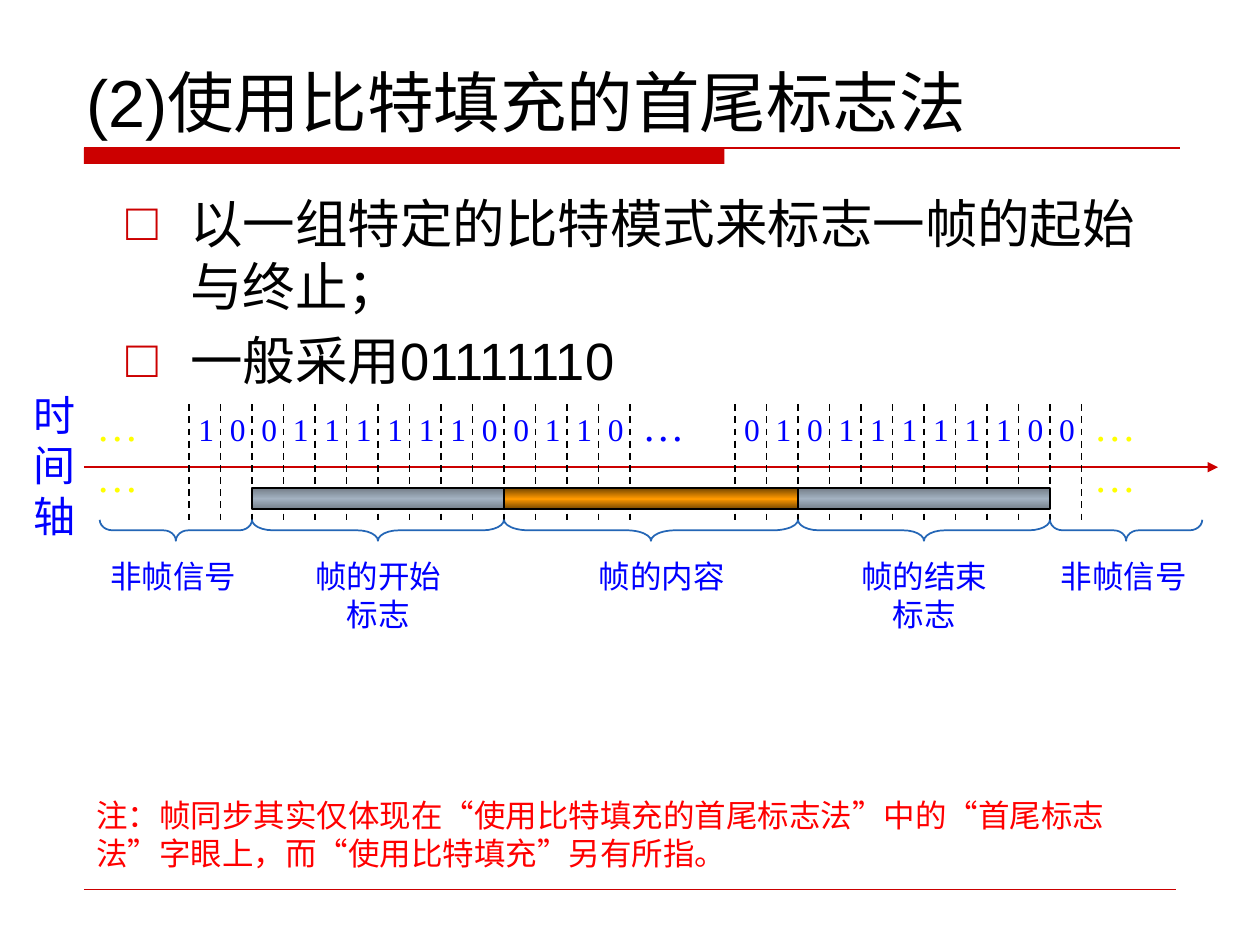
from copy import deepcopy
from dataclasses import dataclass

from lxml import etree
from pptx import Presentation
from pptx.dml.color import RGBColor
from pptx.enum.dml import MSO_LINE
from pptx.enum.shapes import MSO_CONNECTOR, MSO_SHAPE
from pptx.enum.text import MSO_ANCHOR, MSO_AUTO_SIZE, PP_ALIGN
from pptx.oxml.ns import qn
from pptx.util import Inches, Pt

LEFT, CENTER = PP_ALIGN.LEFT, PP_ALIGN.CENTER
TOP, BOTTOM = MSO_ANCHOR.TOP, MSO_ANCHOR.BOTTOM
STRAIGHT, DASH = MSO_CONNECTOR.STRAIGHT, MSO_LINE.DASH
RECTANGLE, LEFT_BRACE = MSO_SHAPE.RECTANGLE, MSO_SHAPE.LEFT_BRACE

BLACK = RGBColor(0x00, 0x00, 0x00)
CRIMSON = RGBColor(0xCC, 0x00, 0x00)
RED = RGBColor(0xFF, 0x00, 0x00)
BLUE = RGBColor(0x00, 0x00, 0xFF)
YELLOW = RGBColor(0xFF, 0xFF, 0x00)
BRACE_BLUE = RGBColor(0x24, 0x66, 0xB6)
FLAG_FILL = (RGBColor(0x75, 0x7F, 0x8A), RGBColor(0xA3, 0xB2, 0xC1))
CONTENT_FILL = (RGBColor(0x76, 0x47, 0x00), RGBColor(0xFF, 0x99, 0x00))

SANS, SERIF = "Arial", "Times New Roman"
GRID = Inches(1) / 12  # the slide is 120 columns by 90 rows
BIT_COLUMNS = 3


def emu(cells):
    return round(cells * GRID)


@dataclass
class Box:
    """A region measured in grid columns and rows."""
    left: float
    top: float
    width: float
    height: float

    def area(self, left, top, width, height):
        return Box(self.left + left, self.top + top, width, height)

    def emus(self):
        return [emu(n) for n in (self.left, self.top, self.width, self.height)]


def write_text(frame, text, *, size, color, font=SERIF, align=LEFT, anchor=TOP):
    """Fill a frame with one paragraph per line of text."""
    frame.word_wrap = True
    frame.auto_size = MSO_AUTO_SIZE.NONE
    frame.vertical_anchor = anchor
    frame.text = text
    for paragraph in frame.paragraphs:
        paragraph.alignment = align
        paragraph.space_before = Pt(0)
        run_font = paragraph.runs[0].font
        run_font.size, run_font.name = Pt(size), font
        run_font.color.rgb = color


def add_label(slide, box, text, **text_format):
    write_text(slide.shapes.add_textbox(*box.emus()).text_frame, text, **text_format)


def add_line(slide, box, color, weight, dash=None, arrow=False):
    """Draw a line from the top left to the bottom right of the box."""
    left, top, width, height = box.emus()
    line = slide.shapes.add_connector(STRAIGHT, left, top, left + width, top + height)
    line.line.color.rgb, line.line.width = color, Pt(weight)
    if dash:
        line.line.dash_style = dash
    properties = line._element.spPr
    if arrow:
        head = etree.SubElement(properties.find(qn("a:ln")), qn("a:tailEnd"))
        head.set("type", "triangle")
    etree.SubElement(properties, qn("a:effectLst"))


def add_outlined(slide, preset, box, color, weight=1):
    shape = slide.shapes.add_shape(preset, *box.emus())
    shape.shadow.inherit = False
    shape.line.color.rgb, shape.line.width = color, Pt(weight)
    return shape


def add_bar(slide, box, edge, middle):
    """Draw a rectangle shaded like a lying cylinder."""
    bar = add_outlined(slide, RECTANGLE, box, BLACK)
    bar.fill.gradient()
    bar.fill.gradient_angle = 90
    stops = bar._element.spPr.find(".//" + qn("a:gsLst"))
    stops.append(deepcopy(stops[0]))
    for stop, position, color in zip(bar.fill.gradient_stops, (0, 0.5, 1), (edge, middle, edge)):
        stop.position, stop.color.rgb = position, color


def add_brace(slide, box):
    """Draw a brace that spans the box from above, pointing down."""
    shift = (box.width - box.height) / 2
    upright = box.area(shift, -shift, box.height, box.width)
    brace = add_outlined(slide, LEFT_BRACE, upright, BRACE_BLUE)
    brace.rotation = 270
    brace.adjustments[0] = box.width / 24
    brace.fill.background()


def place(placeholder, box):
    placeholder.left, placeholder.top, placeholder.width, placeholder.height = box.emus()


def add_heading(slide, box, text):
    place(slide.shapes.title, box.area(-1, 0, box.width + 1, 12.5))
    write_text(slide.shapes.title.text_frame, text, size=38, color=BLACK, font=SANS, anchor=BOTTOM)
    band = add_outlined(slide, RECTANGLE, box.area(0, 12.6, 61, 1.5), CRIMSON)
    band.fill.solid()
    band.fill.fore_color.rgb = CRIMSON
    band.line.fill.background()
    add_line(slide, box.area(0, 12.6, box.width, 0), CRIMSON, 0.75)


def add_points(slide, box, points):
    body = slide.placeholders[1]
    place(body, box)
    write_text(body.text_frame, "\n".join(points), size=30, color=BLACK, font=SANS)
    for index, paragraph in enumerate(body.text_frame.paragraphs):
        paragraph.space_before = Pt(6 if index else 0)
        properties = paragraph._p.get_or_add_pPr()
        properties.set("marL", str(Inches(0.51)))
        properties.set("indent", str(-Inches(0.51)))
        bullet_color = etree.SubElement(properties, qn("a:buClr"))
        etree.SubElement(bullet_color, qn("a:srgbClr")).set("val", str(CRIMSON))
        etree.SubElement(properties, qn("a:buChar")).set("char", "□")


def add_bits(slide, box, bits):
    """Write bits in equal columns, with a dashed tick on every border."""
    for index in range(len(bits) + 1):
        add_line(slide, box.area(index * BIT_COLUMNS, 0, 0, box.height), BLACK, 1, dash=DASH)
    for index, bit in enumerate(bits):
        add_label(slide, box.area(index * BIT_COLUMNS - 0.3, 0, 4, 4.8), bit, size=18, color=BLUE)


def add_timeline(slide, box):
    add_line(slide, box.area(6, 8, 108, 0), CRIMSON, 1, arrow=True)
    add_label(slide, box.area(0, 0, 6, 15.75), "时间轴", size=24, color=BLUE)
    for left, bits in ((16, "10011111100110"), (68, "01011111100")):
        add_bits(slide, box.area(left, 2, len(bits) * BIT_COLUMNS, 11), bits)
    for left, color in ((6, YELLOW), (58, BLUE), (101, YELLOW)):
        add_label(slide, box.area(left, 1, 10, 11), "……", size=24, color=color)
    for left, right, fill in ((22, 46, FLAG_FILL), (74, 98, FLAG_FILL), (46, 74, CONTENT_FILL)):
        add_bar(slide, box.area(left, 10, right - left, 2), *fill)
    sections = (
        (7.5, 22, 14.5, "非帧信号"),
        (22, 46, 34, "帧的开始标志"),
        (46, 74, 61, "帧的内容"),
        (74, 98, 86, "帧的结束标志"),
        (98, 112.5, 105, "非帧信号"),
    )
    for left, right, middle, name in sections:
        add_brace(slide, box.area(left, 13, right - left, 2))
        add_label(slide, box.area(middle - 7.5, 16, 15, 8.4), name,
                  size=18, color=BLUE, align=CENTER)


def add_note(slide, box, text):
    add_label(slide, box, text, size=18, color=RED, font=SANS)
    add_line(slide, box.area(0, 9.5, 104, 0), CRIMSON, 0.25)


def main():
    deck = Presentation()
    deck.slide_width, deck.slide_height = emu(120), emu(90)
    slide = deck.slides.add_slide(deck.slide_layouts[1])
    add_heading(slide, Box(8, 1.5, 104.4, 14), "(2)使用比特填充的首尾标志法")
    add_points(slide, Box(10.8, 17.6, 102, 42.5), (
        "以一组特定的比特模式来标志一帧的起始与终止；",
        "一般采用01111110",
    ))
    add_timeline(slide, Box(2, 36.5, 116, 24.5))
    add_note(slide, Box(8, 75.2, 102, 8.5),
             "注：帧同步其实仅体现在“使用比特填充的首尾标志法”中的“首尾标志法”字眼上，"
             "而“使用比特填充”另有所指。")
    deck.save("out.pptx")


if __name__ == "__main__":
    main()
